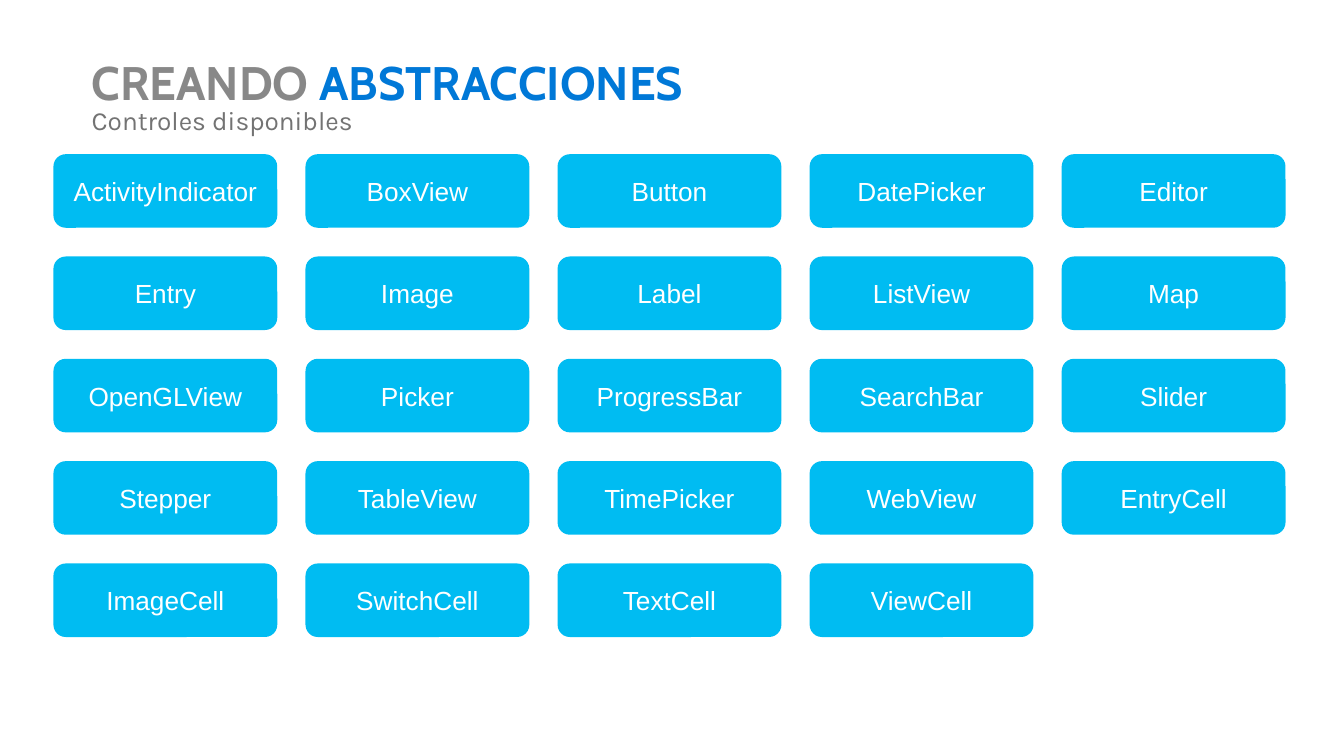
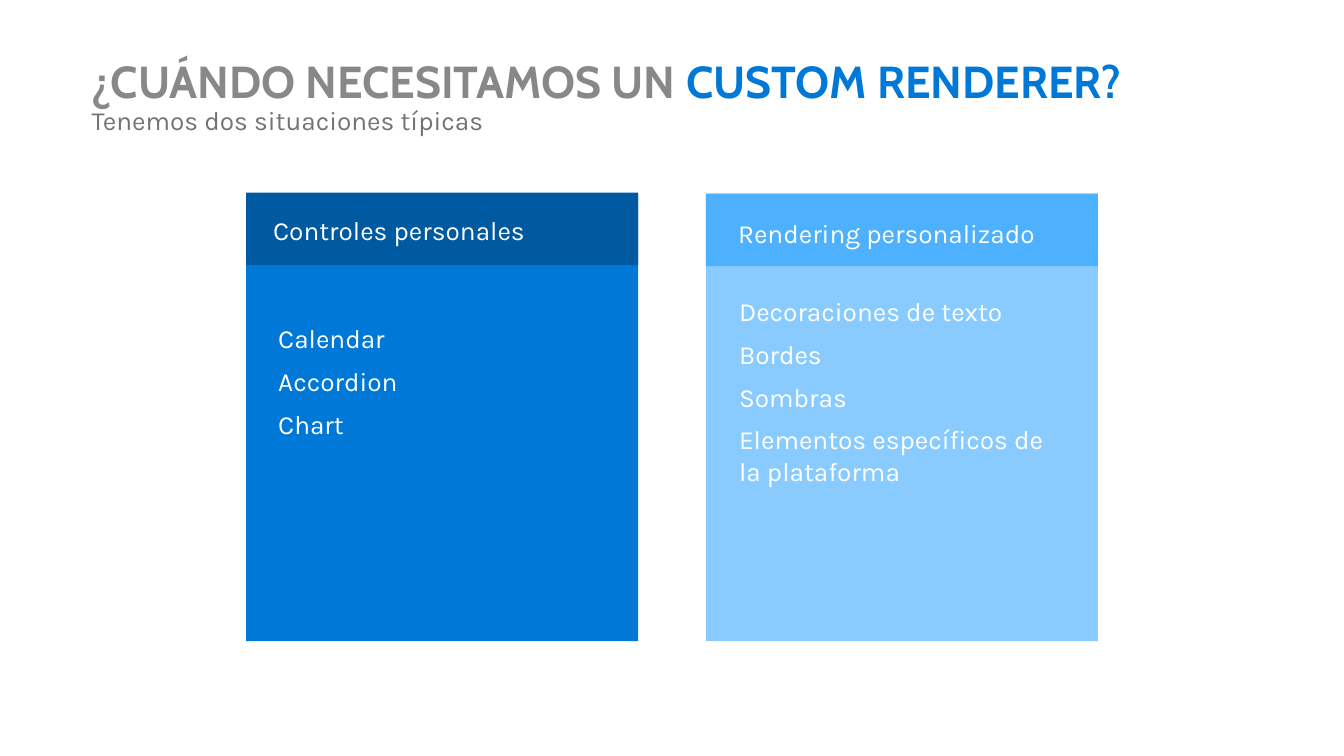
import pptx
import pptx.util
import pptx.dml.color
import pptx.enum.shapes
import pptx.enum.text

Inches = pptx.util.Inches
Pt = pptx.util.Pt
RGBColor = pptx.dml.color.RGBColor
MSO_SHAPE = pptx.enum.shapes.MSO_SHAPE
MSO_ANCHOR = pptx.enum.text.MSO_ANCHOR
PP_ALIGN = pptx.enum.text.PP_ALIGN

WHITE = RGBColor(0xFF, 0xFF, 0xFF)
TITLE_GRAY = RGBColor(0x88, 0x88, 0x88)
SUBTITLE_GRAY = RGBColor(0x73, 0x73, 0x73)
BLUE = RGBColor(0x00, 0x78, 0xD7)
DARK_BLUE = RGBColor(0x00, 0x5A, 0xA1)
SKY_BLUE = RGBColor(0x4E, 0xB1, 0xFF)
PALE_BLUE = RGBColor(0x89, 0xCB, 0xFF)
CYAN = RGBColor(0x00, 0xBC, 0xF2)

TITLE_FONT = "Cabin"
BODY_FONT = "Karla"
CONTROL_FONT = "Arial"
BODY_SIZE = 18.7
TEXT_INSETS = (0.15, 0.12)

GRID_COLUMNS = 5
GRID_LEFT = 0.53
GRID_TOP = 1.53
LAST_ROW_TOP = 5.59
COLUMN_PITCH = 2.5
CONTROL_WIDTH = 2.22
CONTROL_HEIGHT = 0.73

PANEL_WIDTH = 3.89
PANEL_HEIGHT = 4.44
HEADER_HEIGHT = 0.72
PANEL_TEXT_WIDTH = 3.56
LINE_HEIGHT = 0.44
LIST_HEIGHT = 2.08

CONTROLS = [
    "ActivityIndicator", "BoxView", "Button", "DatePicker", "Editor",
    "Entry", "Image", "Label", "ListView", "Map",
    "OpenGLView", "Picker", "ProgressBar", "SearchBar", "Slider",
    "Stepper", "TableView", "TimePicker", "WebView", "EntryCell",
    "ImageCell", "SwitchCell", "TextCell", "ViewCell",
]


def write_text(shape, paragraphs, *, font=BODY_FONT, size=BODY_SIZE,
               color=WHITE, bold=False, align=PP_ALIGN.LEFT,
               anchor=MSO_ANCHOR.MIDDLE, insets=TEXT_INSETS,
               line_spacing=1.0, space_before=8):
    frame = shape.text_frame
    frame.word_wrap = True
    frame.vertical_anchor = anchor
    frame.margin_left = frame.margin_right = Inches(insets[0])
    frame.margin_top = frame.margin_bottom = Inches(insets[1])
    for index, runs in enumerate(paragraphs):
        paragraph = frame.add_paragraph() if index else frame.paragraphs[0]
        paragraph.alignment = align
        paragraph.line_spacing = line_spacing
        if index:
            paragraph.space_before = Pt(space_before)
        if isinstance(runs, str):
            runs = [(runs, color)]
        for text, run_color in runs:
            run = paragraph.add_run()
            run.text = text
            run.font.name = font
            run.font.size = Pt(size)
            run.font.bold = bold
            run.font.color.rgb = run_color


def add_text(slide, left, top, width, height, paragraphs, **text_format):
    box = slide.shapes.add_textbox(
        Inches(left), Inches(top), Inches(width), Inches(height))
    write_text(box, paragraphs, **text_format)


def add_block(slide, left, top, width, height, fill, preset=MSO_SHAPE.RECTANGLE):
    block = slide.shapes.add_shape(
        preset, Inches(left), Inches(top), Inches(width), Inches(height))
    block.shadow.inherit = False
    block.fill.solid()
    block.fill.fore_color.rgb = fill
    block.line.fill.background()
    return block


def add_titled_slide(presentation, plain, accent, subtitle, title_size):
    slide = presentation.slides.add_slide(presentation.slide_layouts[6])
    add_text(slide, 0.76, 0.47, 11.81, 0.73,
             [[(plain, TITLE_GRAY), (accent, BLUE)]],
             font=TITLE_FONT, size=title_size, bold=True,
             anchor=MSO_ANCHOR.TOP, line_spacing=0.9)
    add_text(slide, 0.76, 0.97, 11.8, LINE_HEIGHT, [subtitle],
             color=SUBTITLE_GRAY)
    return slide


def add_control_grid(slide, names):
    row_count = -(-len(names) // GRID_COLUMNS)
    row_pitch = (LAST_ROW_TOP - GRID_TOP) / (row_count - 1)
    for index, name in enumerate(names):
        row, column = divmod(index, GRID_COLUMNS)
        control = add_block(slide, GRID_LEFT + column * COLUMN_PITCH,
                            GRID_TOP + row * row_pitch,
                            CONTROL_WIDTH, CONTROL_HEIGHT, CYAN,
                            MSO_SHAPE.ROUNDED_RECTANGLE)
        write_text(control, [name], font=CONTROL_FONT,
                   align=PP_ALIGN.CENTER, insets=(0.1, 0.05))


def add_panel(slide, left, header_top, body_fill, header_fill,
              heading, heading_at, items, items_at):
    add_block(slide, left, 1.92, PANEL_WIDTH, PANEL_HEIGHT, body_fill)
    add_block(slide, left, header_top, PANEL_WIDTH, HEADER_HEIGHT, header_fill)
    add_text(slide, *heading_at, PANEL_TEXT_WIDTH, LINE_HEIGHT, [heading])
    add_text(slide, *items_at, PANEL_TEXT_WIDTH, LIST_HEIGHT, items)


def main():
    presentation = pptx.Presentation()
    presentation.slide_width = Inches(13.33)
    presentation.slide_height = Inches(7.5)

    controls_slide = add_titled_slide(
        presentation, "CREANDO ", "ABSTRACCIONES",
        "Controles disponibles", 33.6)
    add_control_grid(controls_slide, CONTROLS)

    renderer_slide = add_titled_slide(
        presentation, "¿CUÁNDO NECESITAMOS UN ", "CUSTOM RENDERER?",
        "Tenemos dos situaciones típicas", 32)
    add_panel(renderer_slide, 2.44, 1.91, BLUE, DARK_BLUE,
              "Controles personales", (2.56, 2.06),
              ["Calendar", "Accordion", "Chart"], (2.61, 2.74))
    add_panel(renderer_slide, 7, 1.92, PALE_BLUE, SKY_BLUE,
              "Rendering personalizado", (7.17, 2.09),
              ["Decoraciones de texto", "Bordes", "Sombras",
               "Elementos específicos de la plataforma"], (7.18, 2.84))

    presentation.save("out.pptx")


if __name__ == "__main__":
    main()
